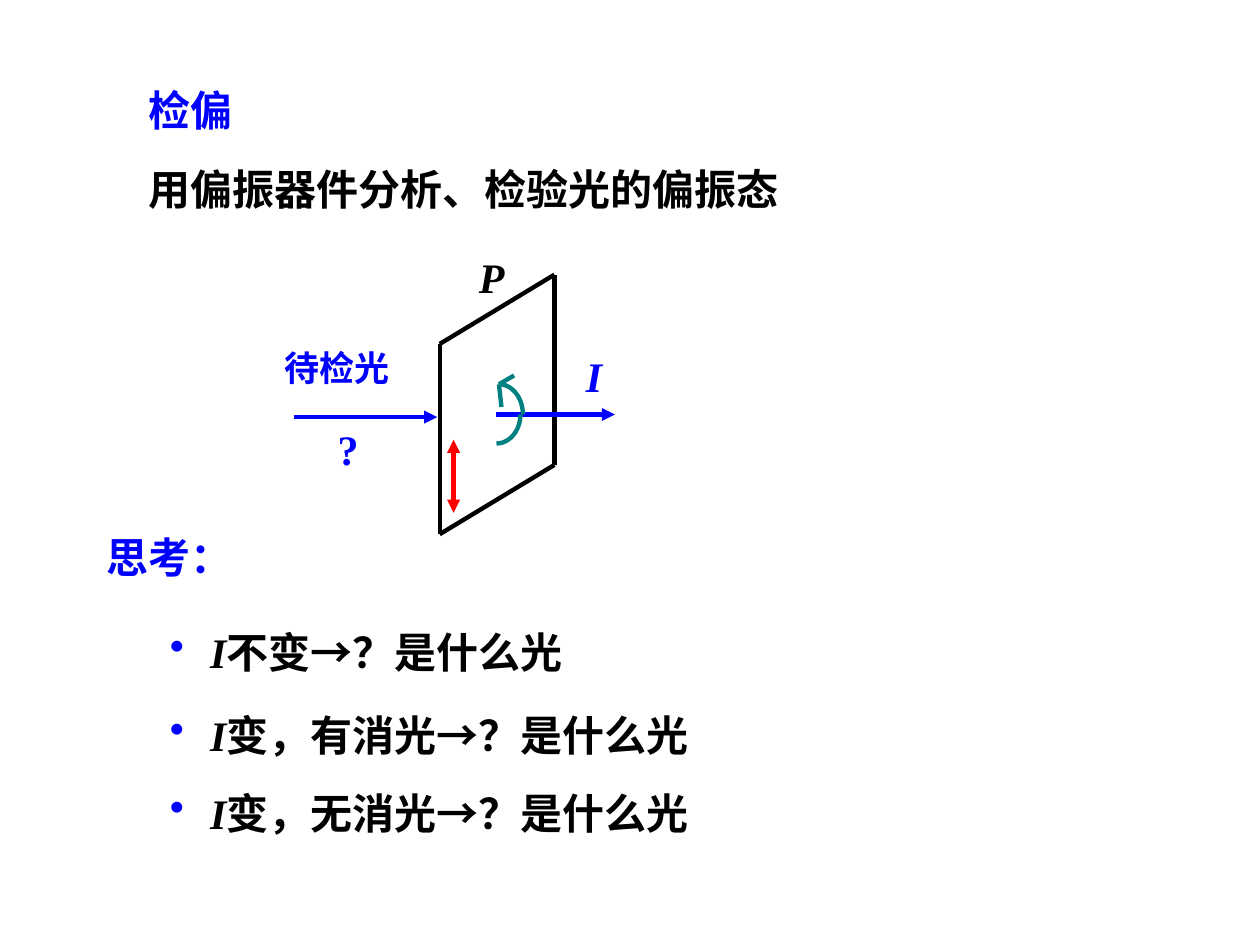
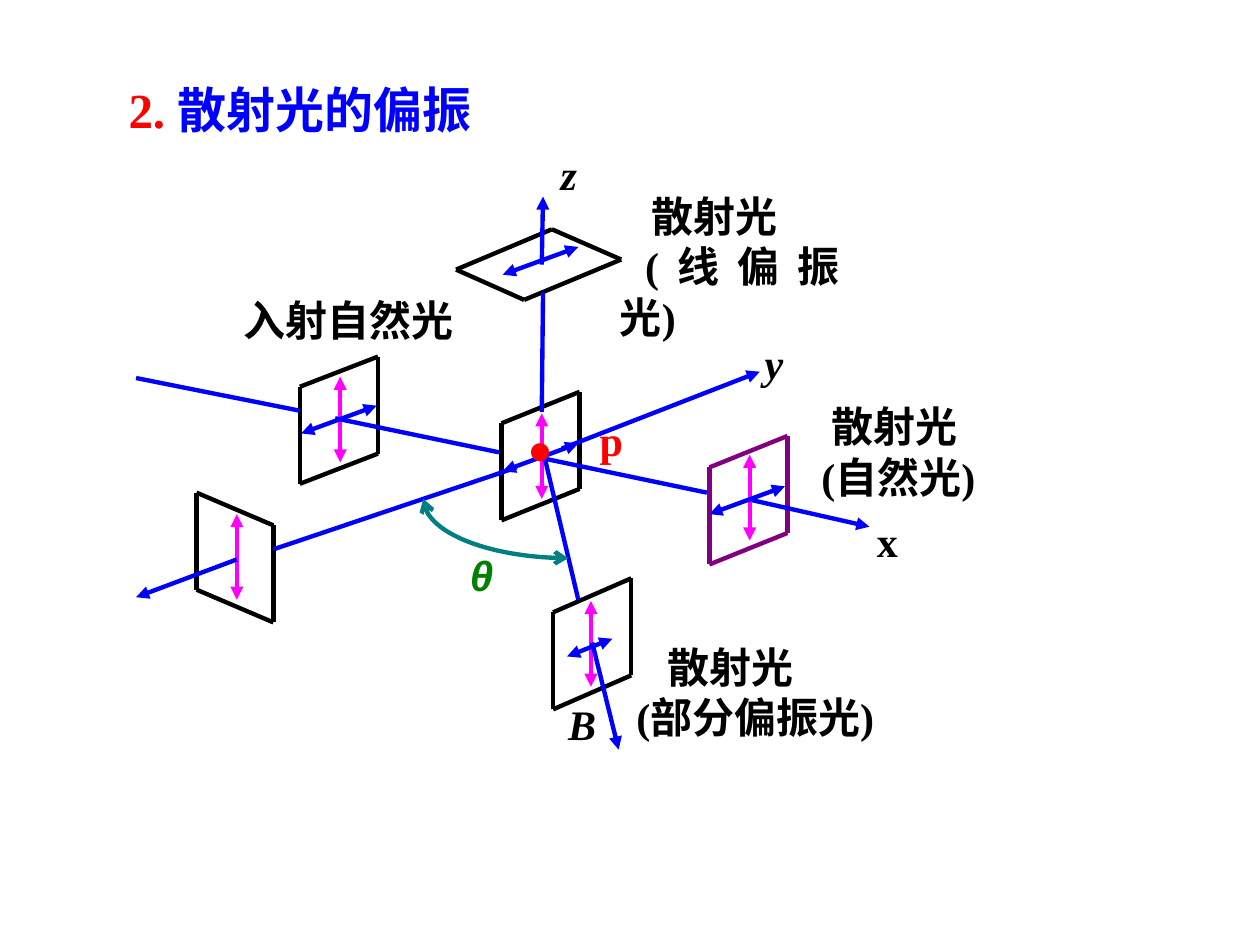
from dataclasses import dataclass
from math import cos, radians, sin

from lxml import etree
from pptx import Presentation
from pptx.dml.color import RGBColor
from pptx.enum.shapes import MSO_CONNECTOR
from pptx.enum.text import MSO_ANCHOR, MSO_AUTO_SIZE, PP_ALIGN
from pptx.oxml.ns import qn
from pptx.util import Cm, Pt

STRAIGHT = MSO_CONNECTOR.STRAIGHT
TOP = MSO_ANCHOR.TOP
NO_FIT = MSO_AUTO_SIZE.NONE
LEFT, JUSTIFY = PP_ALIGN.LEFT, PP_ALIGN.JUSTIFY
TITLE_ONLY = 5
COLORS = {"black": "000000", "blue": "0000FF", "red": "FF0000", "teal": "008080",
          "magenta": "FF00FF", "purple": "800080", "green": "008000"}
SERIF, SANS, CJK = "Times New Roman", "Arial", "Noto Sans CJK SC"
LINE_WIDTH = Pt(2.5)
CM_PER_UNIT = 2.54  # the page is laid out on a 10 by 7.5 unit grid
WIDE_INSETS, TIGHT_INSETS = (0.1, 0.05), (0.01, 0.01)
Point = tuple[float, float]


@dataclass
class Span:
    text: str
    color: str | None = None
    font: str | None = None
    italic: bool | None = None


@dataclass
class Para:
    spans: list[Span]
    size: int = 24
    color: str = "black"
    font: str = SERIF
    italic: bool = False
    align: PP_ALIGN = JUSTIFY
    margin: float = 0
    indent: float = 0
    bullet: bool = False


@dataclass
class Label:
    left: float
    top: float
    width: float
    height: float
    paras: list[Para]
    insets: Point = TIGHT_INSETS


@dataclass
class Ray:
    start: Point
    end: Point
    color: str = "blue"
    head: bool = False
    tail: bool = False


@dataclass
class Panel:
    """Upright plate seen at an angle."""
    left: float
    right: float
    left_top: float
    right_top: float
    height: float = 0.77
    color: str = "black"

    def corners(self) -> list[Point]:
        return [(self.left, self.left_top), (self.right, self.right_top),
                (self.right, self.right_top + self.height),
                (self.left, self.left_top + self.height)]


@dataclass
class Arc:
    """Part of an ellipse, angles clockwise from the right."""
    center: Point
    radii: Point
    start: int
    end: int
    arrows: bool = False


def length(units: float) -> Cm:
    return Cm(units * CM_PER_UNIT)


def rgb(name: str) -> RGBColor:
    return RGBColor.from_string(COLORS[name])


def style_line(shape, color: str, head: str = "", tail: str = "") -> None:
    shape.line.color.rgb = rgb(color)
    shape.line.width = LINE_WIDTH
    properties = shape._element.spPr
    outline = properties.find(qn("a:ln"))
    for tag, kind in (("a:headEnd", head), ("a:tailEnd", tail)):
        if kind:
            etree.SubElement(outline, qn(tag), type=kind)


def draw_ray(page, ray: Ray) -> None:
    ends = [length(value) for value in (*ray.start, *ray.end)]
    line = page.shapes.add_connector(STRAIGHT, *ends)
    style_line(line, ray.color, "triangle" if ray.head else "",
               "triangle" if ray.tail else "")
    etree.SubElement(line._element.spPr, qn("a:effectLst"))


def draw_outline(page, corners: list[Point], color: str = "black") -> None:
    for start, end in zip(corners, corners[1:] + corners[:1]):
        draw_ray(page, Ray(start, end, color))


def draw_vibration(page, center: Point, reach: Point, color: str) -> None:
    (x, y), (dx, dy) = center, reach
    draw_ray(page, Ray((x - dx, y + dy), (x + dx, y - dy), color, head=True, tail=True))


def draw_arc(page, arc: Arc, steps: int = 24) -> None:
    points = []
    for step in range(steps + 1):
        angle = radians(arc.start + (arc.end - arc.start) * step / steps)
        points.append((length(arc.center[0] + arc.radii[0] * cos(angle)),
                       length(arc.center[1] + arc.radii[1] * sin(angle))))
    builder = page.shapes.build_freeform(*points[0])
    builder.add_line_segments(points[1:], close=False)
    shape = builder.convert_to_shape()
    shape.shadow.inherit = False
    shape.fill.background()
    end = "arrow" if arc.arrows else ""
    style_line(shape, "teal", end, end)


def write_para(paragraph, para: Para) -> None:
    paragraph.alignment = para.align
    properties = paragraph._p.get_or_add_pPr()
    properties.set("marL", str(length(para.margin)))
    properties.set("indent", str(length(para.indent)))
    if para.bullet:
        color = etree.SubElement(properties, qn("a:buClr"))
        etree.SubElement(color, qn("a:srgbClr"), val=COLORS["blue"])
        etree.SubElement(properties, qn("a:buChar"), char="•")
    font = paragraph.font
    font.size, font.bold = Pt(para.size), True
    if all(span.color is None for span in para.spans):
        font.color.rgb = rgb(para.color)
    if all(span.font is None for span in para.spans):
        font.name = para.font
    if all(span.italic is None for span in para.spans):
        font.italic = para.italic
    for span in para.spans:
        run = paragraph.add_run()
        run.text = span.text
        if span.color:
            run.font.color.rgb = rgb(span.color)
        if span.font:
            run.font.name = span.font
        if span.italic is not None:
            run.font.italic = span.italic


def fill_box(box, label: Label) -> None:
    box.left, box.top = length(label.left), length(label.top)
    box.width, box.height = length(label.width), length(label.height)
    frame = box.text_frame
    frame.word_wrap, frame.auto_size, frame.vertical_anchor = True, NO_FIT, TOP
    frame.margin_left = frame.margin_right = length(label.insets[0])
    frame.margin_top = frame.margin_bottom = length(label.insets[1])
    for index, para in enumerate(label.paras):
        write_para(frame.add_paragraph() if index else frame.paragraphs[0], para)


def draw_label(page, label: Label) -> None:
    fill_box(page.shapes.add_textbox(0, 0, 0, 0), label)


def add_page(deck, title: Label):
    page = deck.slides.add_slide(deck.slide_layouts[TITLE_ONLY])
    fill_box(page.shapes.title, title)
    return page


def symbol(left: float, top: float, width: float, height: float, text: str,
           **style) -> Label:
    return Label(left, top, width, height, [Para([Span(text)], **style)])


def heading(left: float, top: float, width: float, text: str, **style) -> Label:
    return Label(left, top, width, 0.5, [Para([Span(text)], align=LEFT, **style)],
                 WIDE_INSETS)


def question(top: float, condition: str) -> Label:
    spans = [Span("I", font=SERIF, italic=True), Span(condition, font=SERIF, italic=False),
             Span("→", font=SANS, italic=False), Span("？是什么光", font=SERIF, italic=False)]
    return Label(1.25, top, 7.08, 0.5, [Para(spans, align=LEFT, margin=0.32,
                                             indent=-0.32, bullet=True)], WIDE_INSETS)


def scattered(left: float, top: float, width: float, kind: str, indent: float) -> Label:
    return Label(left, top, width, 0.75, [Para([Span("散射光")], indent=0.25),
                                          Para([Span(kind)], indent=indent)])


def build_analysis(deck) -> None:
    page = add_page(deck, heading(1.08, 0.62, 2, "检偏", color="blue", font=CJK))
    draw_label(page, heading(1.08, 1.25, 7.08, "用偏振器件分析、检验光的偏振态", font=CJK))

    # Polarizer and light
    draw_outline(page, Panel(3.49, 4.4, 2.73, 2.18, 1.51).corners())
    draw_vibration(page, (3.6, 3.78), (0, 0.29), "red")
    for ray in (Ray((2.33, 3.31), (3.47, 3.31), tail=True),
                Ray((3.94, 3.29), (4.88, 3.29), tail=True)):
        draw_ray(page, ray)

    # Rotation sign
    for arc in (Arc((3.94, 3.29), (0.19, 0.23), 90, 0),
                Arc((3.96, 3.29), (0.19, 0.24), -90, 0)):
        draw_arc(page, arc)
    for tip in ((4.08, 2.98), (3.98, 3.23)):
        draw_ray(page, Ray((3.96, 3.05), tip, "teal"))

    for label in (symbol(4.64, 2.77, 0.52, 0.45, "I", color="blue", italic=True),
                  symbol(2.67, 3.35, 0.5, 0.47, "?", color="blue"),
                  symbol(3.79, 1.99, 0.6, 0.53, "P", italic=True),
                  symbol(2.25, 2.74, 1.17, 0.49, "待检光", size=20, color="blue")):
        draw_label(page, label)

    # Questions
    draw_label(page, heading(0.75, 4.17, 2.5, "思考：", color="blue"))
    for top, condition in ((4.92, "不变"), (5.58, "变，有消光"), (6.2, "变，无消光")):
        draw_label(page, question(top, condition))


def build_scattering(deck) -> None:
    title = Para([Span("2. ", "red"), Span("散射光的偏振", "blue")], size=28)
    page = add_page(deck, Label(0.92, 0.58, 4.25, 0.57, [title], WIDE_INSETS))

    # Plates
    for panel in (Panel(1.56, 2.17, 3.91, 4.17), Panel(2.38, 3, 3.07, 2.83),
                  Panel(5.63, 6.25, 3.71, 3.46, color="purple"),
                  Panel(3.98, 4.6, 3.36, 3.11), Panel(4.39, 5.01, 4.86, 4.59)):
        draw_outline(page, panel.corners(), panel.color)
    draw_outline(page, [(3.62, 2.14), (4.38, 1.82), (4.93, 2.06), (4.16, 2.38)])

    # Vibration directions
    for center in ((1.88, 4.42), (2.7, 3.33), (5.95, 3.95), (4.3, 3.62), (4.69, 5.11)):
        draw_vibration(page, center, (0, 0.34), "magenta")
    for center in ((4.29, 2.07), (2.69, 3.33), (5.93, 3.97), (4.29, 3.63)):
        draw_vibration(page, center, (0.3, 0.11), "blue")
    draw_vibration(page, (4.68, 5.14), (0.18, 0.07), "blue")

    # Incident and scattered rays
    for ray in (Ray((1.08, 3), (2.38, 3.26)), Ray((2.66, 3.32), (3.96, 3.59)),
                Ray((4.32, 3.64), (5.61, 3.91)),
                Ray((5.97, 3.97), (6.9, 4.18), tail=True),
                Ray((4.46, 3.56), (6.03, 2.95), tail=True),
                Ray((2.17, 4.36), (4.1, 3.71)),
                Ray((1.88, 4.44), (1.08, 4.74), tail=True),
                Ray((4.32, 3.62), (4.59, 4.76)),
                Ray((4.7, 5.1), (4.91, 5.95), tail=True),
                Ray((4.3, 3.27), (4.31, 2.32)),
                Ray((4.3, 2.1), (4.31, 1.56), tail=True)):
        draw_ray(page, ray)
    draw_arc(page, Arc((4.51, 3.96), (1.15, 0.47), 90, 180, arrows=True))

    # Labels
    for label in (symbol(6.95, 4.08, 0.55, 0.55, "x"),
                  symbol(6.06, 2.67, 0.44, 0.44, "y", italic=True),
                  symbol(4.44, 1.17, 0.42, 0.39, "z", italic=True),
                  symbol(4.19, 3.25, 0.4, 0.49, "•", size=36, color="red", font=SANS),
                  symbol(4.75, 3.28, 0.55, 0.39, "p", color="red"),
                  symbol(1.92, 2.33, 1.85, 0.44, "入射自然光"),
                  symbol(3.72, 4.35, 0.45, 0.45, "θ", color="green", font=SANS, italic=True),
                  symbol(4.5, 5.53, 0.33, 0.39, "B", italic=True),
                  scattered(5.04, 5.08, 2.04, "(部分偏振光)", 0),
                  scattered(4.91, 1.5, 1.76, "(线偏振光)", 0.2),
                  scattered(6.34, 3.17, 1.66, "(自然光)", 0.17)):
        draw_label(page, label)


def main() -> None:
    deck = Presentation()
    deck.slide_width, deck.slide_height = length(10), length(7.5)
    build_analysis(deck)
    build_scattering(deck)
    deck.save("out.pptx")


if __name__ == "__main__":
    main()
